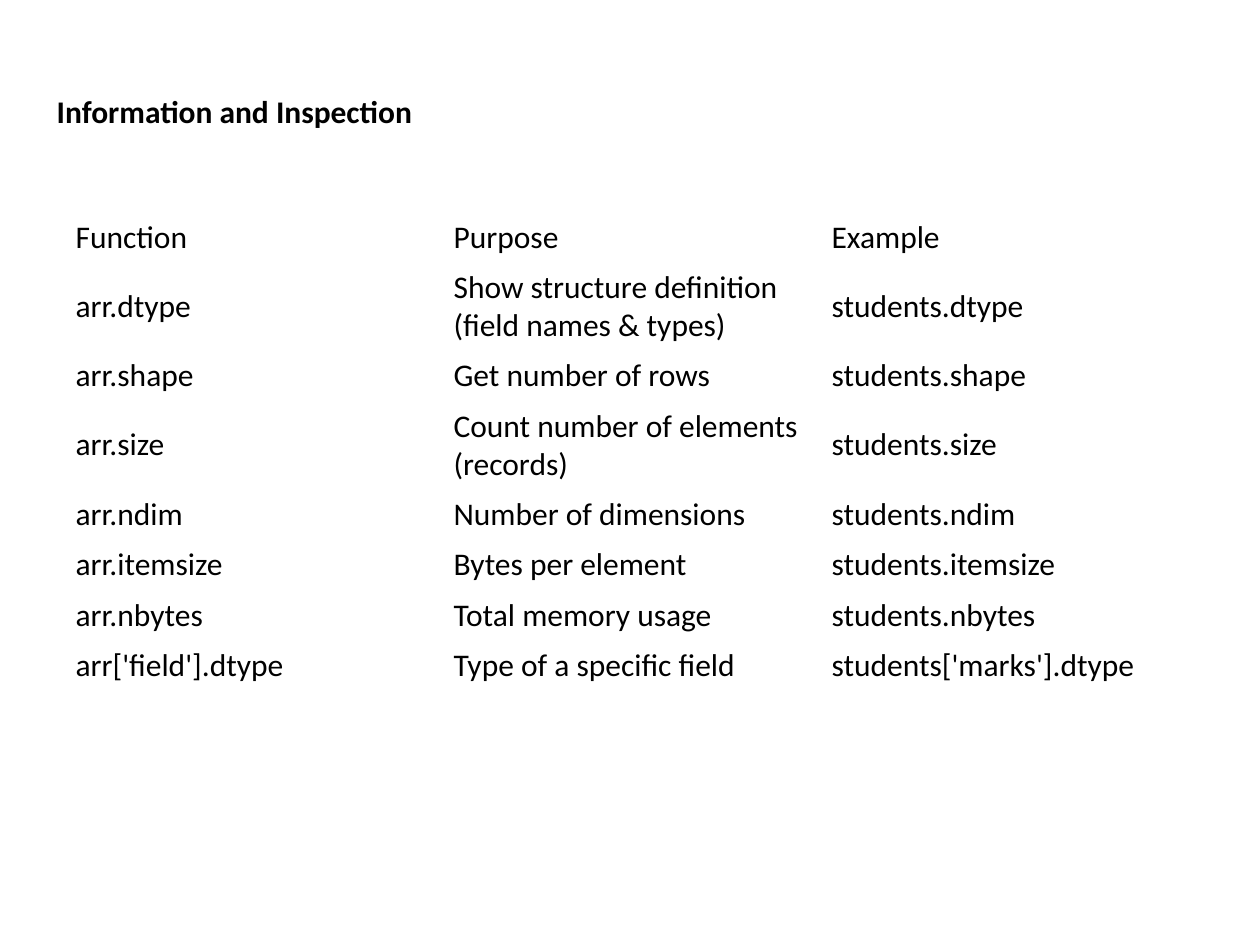
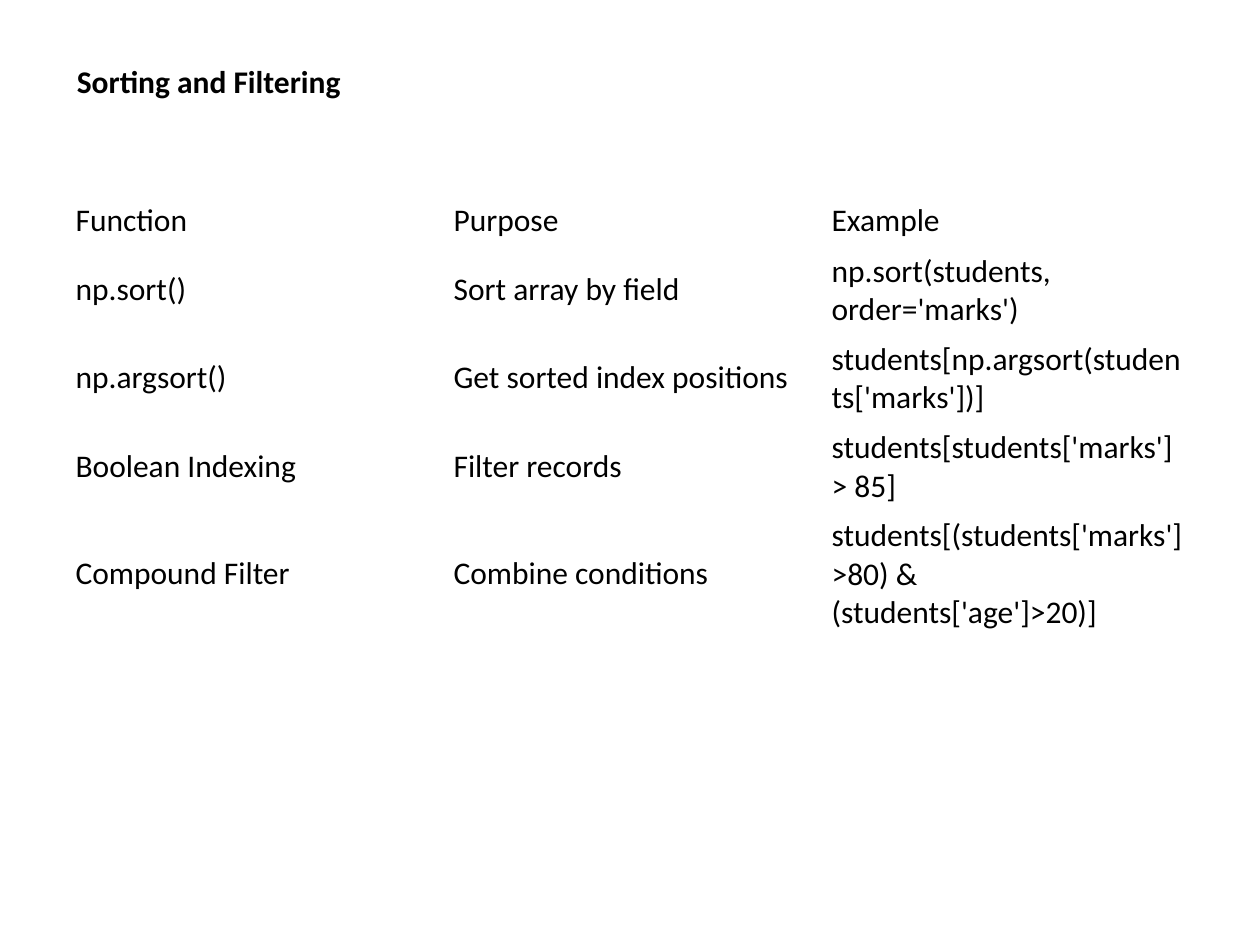
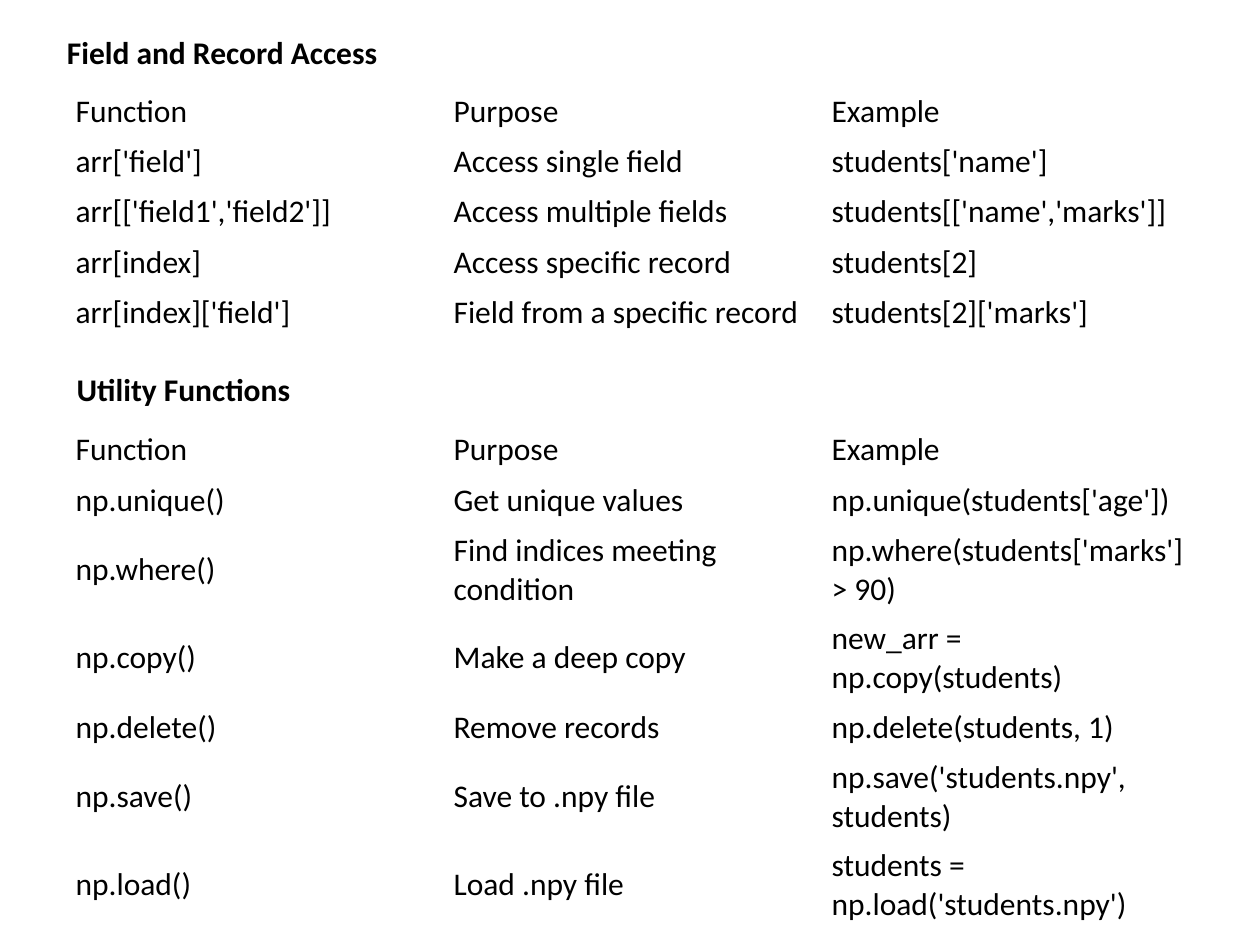
from pptx import Presentation
from pptx.dml.color import RGBColor
from pptx.enum.text import MSO_ANCHOR, MSO_AUTO_SIZE, PP_ALIGN
from pptx.util import Pt

BLACK = RGBColor(0x00, 0x00, 0x00)
FONT = "Calibri"
TEXT_SIZE = 18
LINE_HEIGHT = 1.2 * TEXT_SIZE
ROW_PADDING = 7.2
HEADING_HEIGHT = 28.8
TABLE_LEFT = 36
TABLE_WIDTH = 648
TITLE_ONLY = 5
COLUMNS = ("Function", "Purpose", "Example")

INSPECTION = [
    (2, "arr.dtype", "Show structure definition (field names & types)", "students.dtype"),
    (1, "arr.shape", "Get number of rows", "students.shape"),
    (2, "arr.size", "Count number of elements (records)", "students.size"),
    (1, "arr.ndim", "Number of dimensions", "students.ndim"),
    (1, "arr.itemsize", "Bytes per element", "students.itemsize"),
    (1, "arr.nbytes", "Total memory usage", "students.nbytes"),
    (1, "arr['field'].dtype", "Type of a specific field", "students['marks'].dtype"),
]
SORTING = [
    (2, "np.sort()", "Sort array by field", "np.sort(students, order='marks')"),
    (2, "np.argsort()", "Get sorted index positions", "students[np.argsort(students['marks'])]"),
    (2, "Boolean Indexing", "Filter records", "students[students['marks'] > 85]"),
    (3, "Compound Filter", "Combine conditions",
     "students[(students['marks']>80) & (students['age']>20)]"),
]
ACCESS = [
    (1, "arr['field']", "Access single field", "students['name']"),
    (1, "arr[['field1','field2']]", "Access multiple fields", "students[['name','marks']]"),
    (1, "arr[index]", "Access specific record", "students[2]"),
    (1, "arr[index]['field']", "Field from a specific record", "students[2]['marks']"),
]
UTILITIES = [
    (1, "np.unique()", "Get unique values", "np.unique(students['age'])"),
    (2, "np.where()", "Find indices meeting condition", "np.where(students['marks'] > 90)"),
    (2, "np.copy()", "Make a deep copy", "new_arr = np.copy(students)"),
    (1, "np.delete()", "Remove records", "np.delete(students, 1)"),
    (2, "np.save()", "Save to .npy file", "np.save('students.npy', students)"),
    (2, "np.load()", "Load .npy file", "students = np.load('students.npy')"),
]


def write(paragraph, text, bold=False):
    """Add one run in the shared text style."""
    run = paragraph.add_run()
    run.text = text
    run.font.name = FONT
    run.font.size = Pt(TEXT_SIZE)
    run.font.bold = bold
    run.font.color.rgb = BLACK


def format_heading(heading, text, left, top, width):
    """Place a title placeholder or text box and write its bold heading."""
    heading.left, heading.top = Pt(left), Pt(top)
    heading.width, heading.height = Pt(width), Pt(HEADING_HEIGHT)
    frame = heading.text_frame
    frame.word_wrap = False
    frame.auto_size = MSO_AUTO_SIZE.SHAPE_TO_FIT_TEXT
    frame.vertical_anchor = MSO_ANCHOR.TOP
    frame.paragraphs[0].alignment = PP_ALIGN.LEFT
    write(frame.paragraphs[0], text, bold=True)


def add_function_table(slide, top, functions):
    """Add a plain table whose row heights follow the line counts of its functions."""
    rows = [(1, *COLUMNS), *functions]
    heights = [ROW_PADDING + LINE_HEIGHT * lines for lines, *_ in rows]
    table = slide.shapes.add_table(
        len(rows), len(COLUMNS), Pt(TABLE_LEFT), Pt(top), Pt(TABLE_WIDTH), Pt(sum(heights))
    ).table
    table.first_row = False
    table.horz_banding = False
    for row, height, (_, *texts) in zip(table.rows, heights, rows):
        row.height = Pt(height)
        for cell, text in zip(row.cells, texts):
            cell.fill.background()
            cell.vertical_anchor = MSO_ANCHOR.MIDDLE
            write(cell.text_frame.paragraphs[0], text)


def add_reference_slide(deck, title, title_box, table_top, functions):
    """Add a slide with a title and one function table, and return it."""
    slide = deck.slides.add_slide(deck.slide_layouts[TITLE_ONLY])
    format_heading(slide.shapes.title, title, *title_box)
    add_function_table(slide, table_top, functions)
    return slide


def add_section(slide, heading, heading_box, table_top, functions):
    """Add a further heading and function table to a slide."""
    left, top, width = heading_box
    box = slide.shapes.add_textbox(Pt(left), Pt(top), Pt(width), Pt(HEADING_HEIGHT))
    format_heading(box, heading, *heading_box)
    add_function_table(slide, table_top, functions)


def main():
    """Build and save the three reference slides."""
    deck = Presentation()
    deck.slide_width, deck.slide_height = Pt(720), Pt(540)
    add_reference_slide(deck, "Information and Inspection", (25.2, 49, 219.6), 121, INSPECTION)
    add_reference_slide(deck, "Sorting and Filtering", (36.7, 31.7, 166.3), 111.6, SORTING)
    access_slide = add_reference_slide(
        deck, "Field and Record Access", (31, 15.1, 193), 49, ACCESS)
    add_section(access_slide, "Utility Functions", (36.7, 208.1, 137.5), 242.6, UTILITIES)
    deck.save("out.pptx")


if __name__ == "__main__":
    main()
